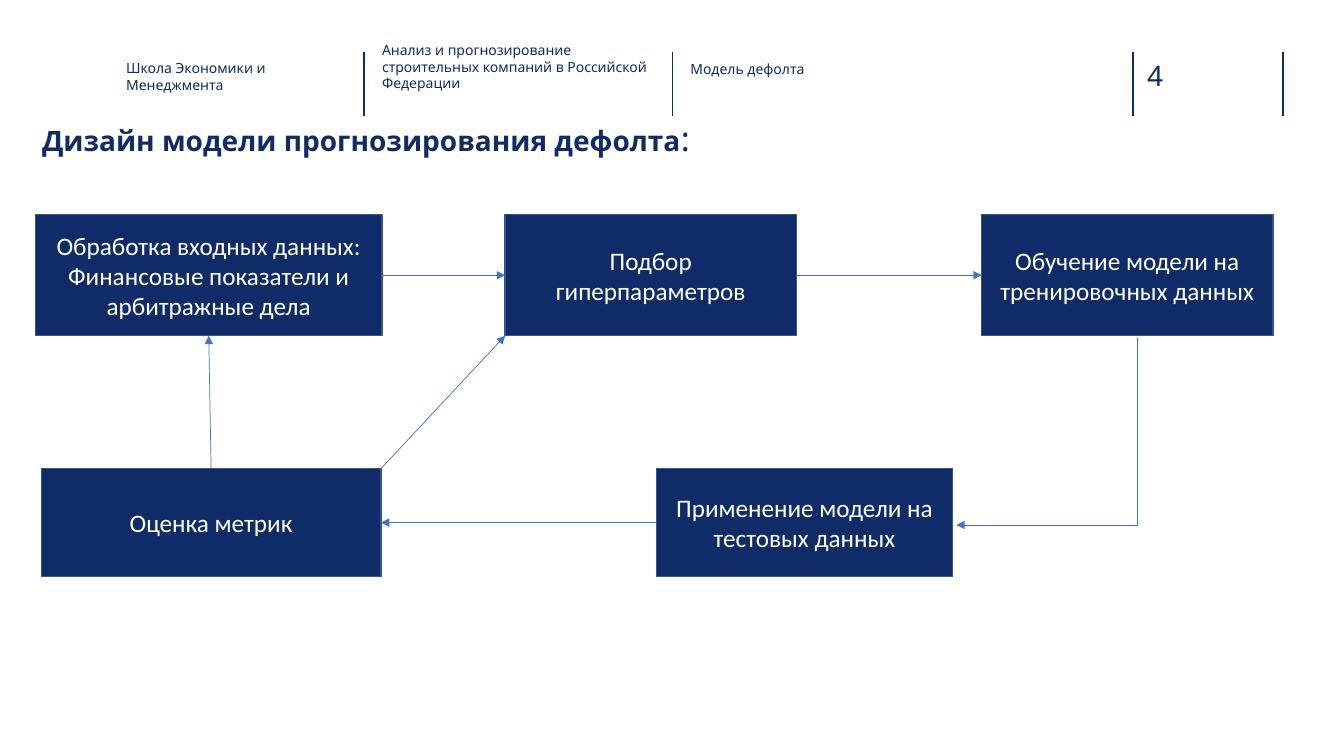
from dataclasses import dataclass

from lxml.etree import SubElement
from pptx import Presentation
from pptx.dml.color import RGBColor
from pptx.enum.shapes import MSO_CONNECTOR, MSO_SHAPE
from pptx.enum.text import MSO_ANCHOR, PP_ALIGN
from pptx.oxml.ns import qn
from pptx.util import Cm, Pt


@dataclass(frozen=True)
class Theme:
    """Colours, fonts and type sizes of the slide."""
    navy: str = "0F2C68"
    rule: str = "102D69"
    outline: str = "325491"
    arrow: str = "4472C4"
    white: str = "FFFFFF"
    head_font: str = "Noto Sans"
    body_font: str = "Calibri"
    label: int = 10
    step: int = 18
    title: int = 20
    colon: int = 24


@dataclass(frozen=True)
class Box:
    """A region in centimetres."""
    left: float
    top: float
    width: float
    height: float

    def inner(self, x, y, width, height):
        """Return a box placed relative to this one."""
        return Box(self.left + x, self.top + y, width, height)

    def emu(self):
        """Return left, top, width and height as lengths."""
        return Cm(self.left), Cm(self.top), Cm(self.width), Cm(self.height)


THEME = Theme()


def style_run(r, font, size, color, bold=False):
    """Format one run."""
    r.font.name = font
    r.font.size = Pt(size)
    r.font.bold = bold
    r.font.color.rgb = RGBColor.from_string(color)


def add_label(s, box, text, size, bold=False):
    """Add a text box without insets and return its paragraph."""
    tf = s.shapes.add_textbox(*box.emu()).text_frame
    tf.word_wrap = True
    tf.margin_left = tf.margin_top = tf.margin_right = tf.margin_bottom = 0
    tf.text = text
    p = tf.paragraphs[0]
    style_run(p.runs[0], THEME.head_font, size, THEME.navy, bold)
    return p


def add_line(s, start, end, color, width, arrow=False):
    """Add a straight line between two points given as lengths."""
    line = s.shapes.add_connector(MSO_CONNECTOR.STRAIGHT, *start, *end)
    line.line.color.rgb = RGBColor.from_string(color)
    line.line.width = Pt(width)
    if arrow:
        SubElement(line.line._get_or_add_ln(), qn("a:tailEnd"), type="triangle")
    SubElement(line._element.spPr, qn("a:effectLst"))
    return line


def add_arrow(s, start, end):
    """Add a flow arrow between two points."""
    return add_line(s, start, end, THEME.arrow, 0.5, arrow=True)


def join(s, source, source_side, target, target_side):
    """Join two steps with an arrow glued to the middles of their sides."""
    line = add_arrow(s, (source.left, source.top), (target.left, target.top))
    line.begin_connect(source, source_side)
    line.end_connect(target, target_side)


def add_corner_arrow(s, start, end):
    """Add an arrow that runs down from the start and then left to the end."""
    (x1, y1), (x2, y2) = start, end
    width, height = y2 - y1, x1 - x2
    left, top = (x1 + x2 - width) / 2, (y1 + y2 - height) / 2
    line = add_arrow(s, (Cm(left), Cm(top)), (Cm(left + width), Cm(top + height)))
    spPr = line._element.spPr
    spPr.find(qn("a:prstGeom")).set("prst", "bentConnector2")
    spPr.find(qn("a:xfrm")).set("rot", str(90 * 60000))


def add_step(s, box, text):
    """Add one step of the model."""
    sp = s.shapes.add_shape(MSO_SHAPE.RECTANGLE, *box.emu())
    sp.shadow.inherit = False
    sp.fill.solid()
    sp.fill.fore_color.rgb = RGBColor.from_string(THEME.navy)
    sp.line.color.rgb = RGBColor.from_string(THEME.outline)
    sp.line.width = Pt(1)
    tf = sp.text_frame
    tf.word_wrap = True
    tf.vertical_anchor = MSO_ANCHOR.MIDDLE
    tf.text = text
    for p in tf.paragraphs:
        p.alignment = PP_ALIGN.CENTER
        for r in p.runs:
            style_run(r, THEME.body_font, THEME.step, THEME.white)
    return sp


def build_header(s, box):
    """Place the running header: dividers, labels and page number."""
    for x in (9.17, 16.94, 28.55, 32.33):
        x = Cm(box.left + x)
        add_line(s, (x, Cm(box.top)), (x, Cm(box.top + box.height)), THEME.rule, 1)
    labels = (
        (3.18, 0.2, 5.28, "Школа Экономики и Менеджмента", THEME.label),
        (9.63, -0.26, 6.86, "Анализ и прогнозирование строительных компаний "
         "в Российской Федерации", THEME.label),
        (17.4, 0.22, 5.74, "Модель дефолта", THEME.label),
        (28.91, 0.17, 1.85, "4", THEME.title),
    )
    for x, y, width, text, size in labels:
        add_label(s, box.inner(x, y, width, 1.14), text, size)


def build_title(s, box):
    """Place the slide title."""
    p = add_label(s, box, "Дизайн модели прогнозирования дефолта", THEME.title, True)
    r = p.add_run()
    r.text = ":"
    style_run(r, THEME.head_font, THEME.colon, THEME.navy)


def build_flow(s, box):
    """Place the five steps of the model and the arrows between them."""
    top_height, low, low_height = 3.05, 6.4, 2.72
    data = add_step(s, box.inner(0, 0, 8.74, top_height),
                    "Обработка входных данных:\nФинансовые показатели и арбитражные дела")
    tuning = add_step(s, box.inner(11.84, 0, 7.34, top_height), "Подбор гиперпараметров")
    training = add_step(s, box.inner(23.85, 0, 7.34, top_height),
                        "Обучение модели на тренировочных данных")
    testing = add_step(s, box.inner(15.65, low, 7.47, low_height),
                       "Применение модели на тестовых данных")
    metrics = add_step(s, box.inner(0.15, low, 8.56, low_height), "Оценка метрик")

    join(s, data, 3, tuning, 1)
    join(s, tuning, 3, training, 1)
    join(s, testing, 1, metrics, 3)
    join(s, metrics, 0, data, 2)
    add_arrow(s, (metrics.left + metrics.width, metrics.top),
              (tuning.left, tuning.top + tuning.height))
    add_corner_arrow(s, (box.left + 27.76, box.top + 3.12),
                     (box.left + 23.21, box.top + 7.82))


def main():
    """Build the slide and save it."""
    prs = Presentation()
    prs.slide_width, prs.slide_height = Cm(33.87), Cm(19.05)
    s = prs.slides.add_slide(prs.slide_layouts[6])
    build_header(s, Box(0, 1.3, 33.87, 1.62))
    build_title(s, Box(1.06, 2.97, 19.9, 2.16))
    build_flow(s, Box(0.89, 5.41, 31.19, 9.12))
    prs.save("out.pptx")


if __name__ == "__main__":
    main()
